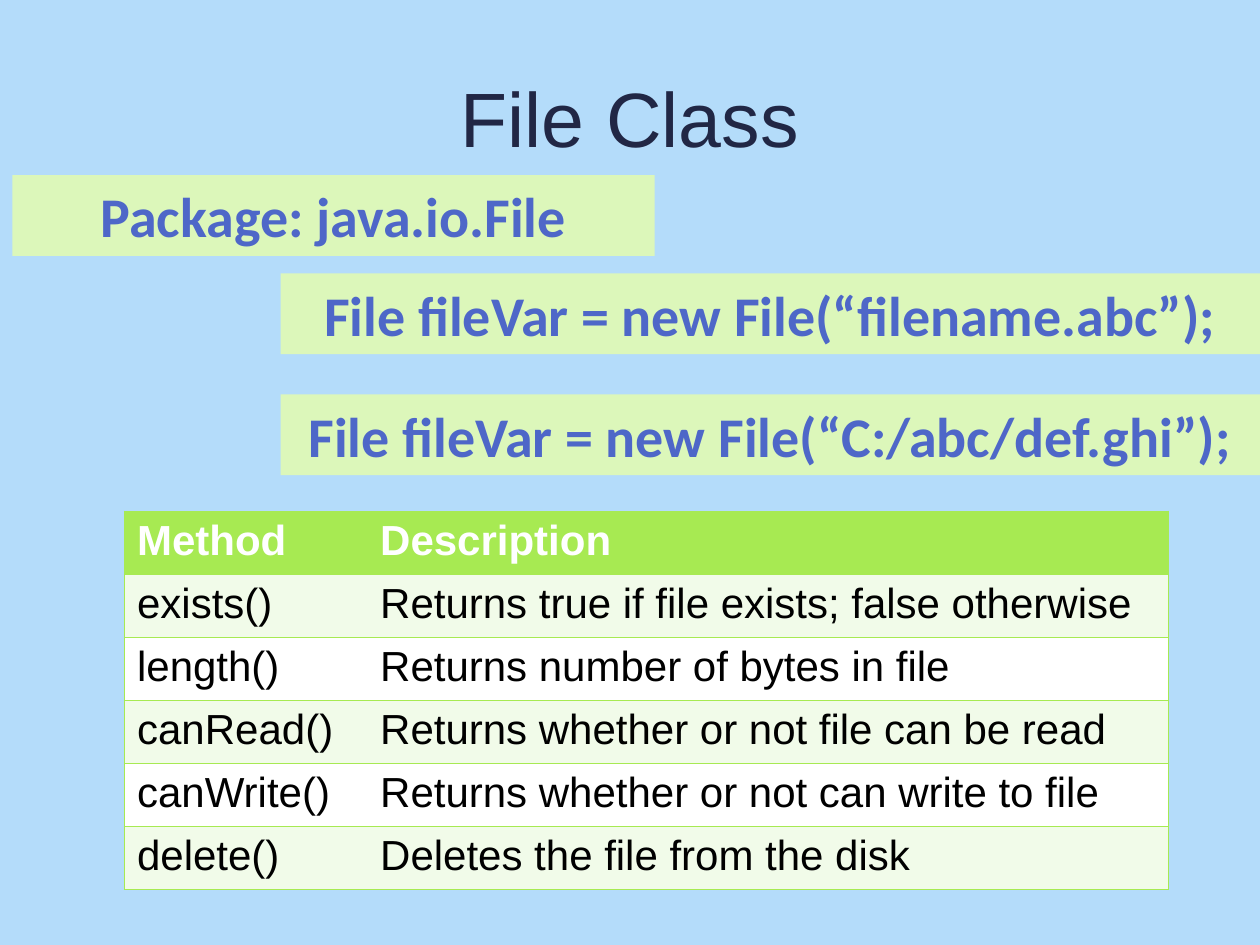
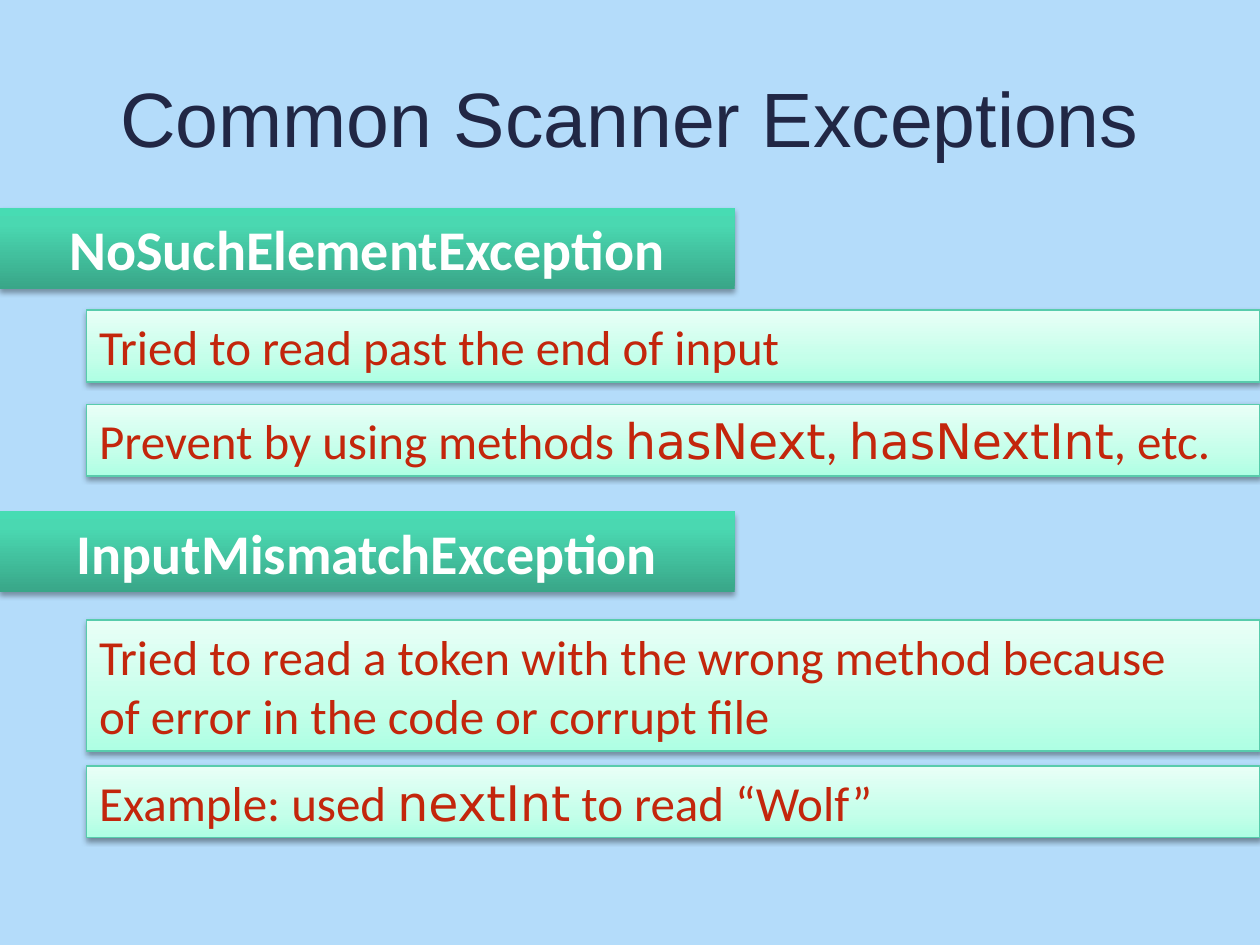
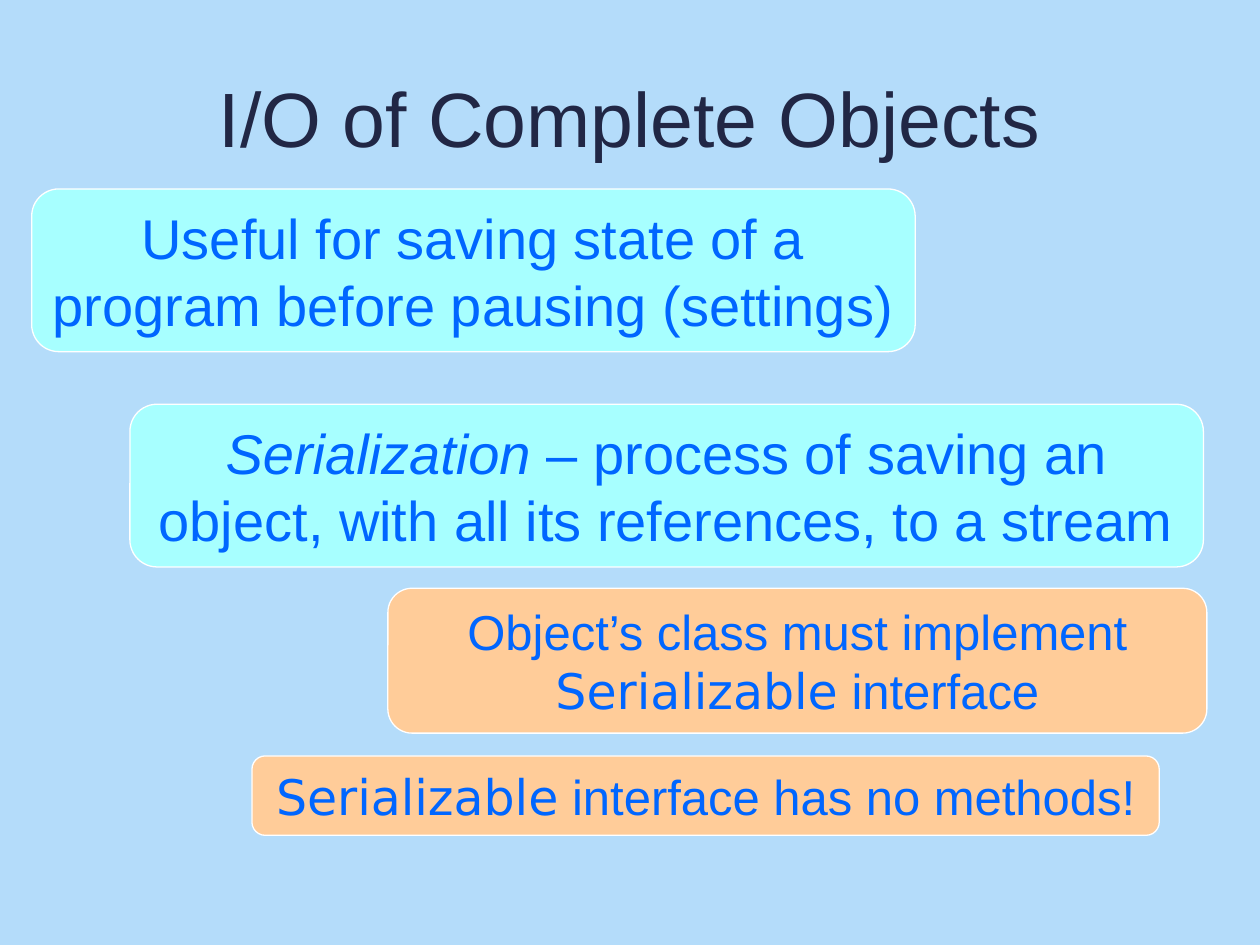
import pptx
import pptx.dml.color
import pptx.enum.shapes
import pptx.enum.text
import pptx.oxml
import pptx.oxml.ns
import pptx.util
from lxml import etree

Cm = pptx.util.Cm
Pt = pptx.util.Pt
qn = pptx.oxml.ns.qn
ALIGN = pptx.enum.text.PP_ALIGN
SHAPES = pptx.enum.shapes.MSO_SHAPE

COLORS = {
    "background": "B4DCFA", "title": "212745",
    "lime": "DCF7BA", "indigo": "4E67C8",
    "green": "A7EA52", "pale green": "F1FBE9",
    "white": "FFFFFF", "black": "000000",
    "red": "C3260C", "teal line": "58CCAC",
    "aqua": "A7FFFF", "peach": "FFCC99", "blue": "0066FF",
}
TEAL_GRADIENT = [(0, "39A688"), (80, "4AD8B1"), (100, "47DCB3")]
MINT_GRADIENT = [(0, "AEFFE3"), (35, "C5FFEA"), (100, "E9FFF7")]
CODE = {"font": "DejaVu Sans"}

# Each style holds the look of the box and the format of its text.
STYLES = {
    "statement": (
        {"fill": "lime"},
        {"size": 32, "font": "Calibri", "color": "indigo", "bold": True}),
    "exception": (
        {"gradient": TEAL_GRADIENT, "shadow": (35, 1.8)},
        {"size": 32, "font": "Calibri", "color": "white", "bold": True}),
    "detail": (
        {"gradient": MINT_GRADIENT, "line": "teal line", "shadow": (38, 1.6)},
        {"size": 28, "font": "Calibri", "color": "red", "align": ALIGN.LEFT}),
    "idea": (
        {"fill": "aqua", "line": "white", "preset": SHAPES.ROUNDED_RECTANGLE},
        {"size": 32, "color": "blue"}),
    "rule": (
        {"fill": "peach", "line": "white", "preset": SHAPES.ROUNDED_RECTANGLE},
        {"size": 28, "color": "blue"}),
}

# Boxes: style, (left, top, width, height) in cm, text or list of runs.
SLIDES = [
    ("File Class", [
        ("statement", (0.25, 3.53, 12.95, 1.63), "Package: java.io.File"),
        ("statement", (5.66, 5.51, 19.74, 1.63),
         "File fileVar = new File(“filename.abc”);"),
        ("statement", (5.66, 7.95, 19.74, 1.63),
         "File fileVar = new File(“C:/abc/def.ghi”);"),
    ]),
    ("Common Scanner Exceptions", [
        ("exception", (0, 4.19, 14.81, 1.63), "NoSuchElementException"),
        ("detail", (1.75, 6.25, 23.65, 1.45),
         "Tried to read past the end of input"),
        ("detail", (1.75, 8.15, 23.65, 1.45),
         ["Prevent by using methods ", ("hasNext", CODE), ", ",
          ("hasNextInt", CODE), ", etc."]),
        ("exception", (0, 10.31, 14.81, 1.63), "InputMismatchException"),
        ("detail", (1.75, 12.5, 23.65, 2.64),
         "Tried to read a token with the wrong method because \n"
         "of error in the code or corrupt file"),
        ("detail", (1.75, 15.44, 23.65, 1.45),
         ["Example: used ", ("nextInt", CODE), " to read “Wolf”"]),
    ]),
    ("I/O of Complete Objects", [
        ("idea", (0.64, 3.81, 17.81, 3.28),
         "Useful for saving state of a program before pausing (settings)"),
        ("idea", (2.62, 8.15, 21.64, 3.28),
         [("Serialization", {"italic": True}),
          " – process of saving an object, with all its references, to a stream"]),
        ("rule", (7.82, 11.86, 16.51, 2.92),
         ["Object’s class must implement ", ("Serializable", CODE),
          " interface"]),
        ("rule", (5.08, 15.24, 18.29, 1.6),
         [("Serializable", CODE), " interface has no methods!"]),
    ]),
]

FILE_METHODS = [
    ("Method", "Description"),
    ("exists()", "Returns true if file exists; false otherwise"),
    ("length()", "Returns number of bytes in file"),
    ("canRead()", "Returns whether or not file can be read"),
    ("canWrite()", "Returns whether or not can write to file"),
    ("delete()", "Deletes the file from the disk"),
]
TABLE_CORNER = (2.51, 10.31)
COLUMN_WIDTHS = (4.9, 16.15)
ROW_HEIGHT = 1.27


def rgb(name):
    return pptx.dml.color.RGBColor.from_string(COLORS[name])


def place(shape, box):
    shape.left, shape.top, shape.width, shape.height = map(Cm, box)


def write_text(frame, content, align=ALIGN.CENTER, **text_format):
    """Fill a frame with text or runs; a run may override the format."""
    paragraph = frame.paragraphs[0]
    paragraph.alignment = align
    runs = [content] if isinstance(content, str) else content
    for item in runs:
        text, changes = (item, {}) if isinstance(item, str) else item
        look = {"font": "Arial", "bold": False, "italic": False,
                **text_format, **changes}
        for index, line in enumerate(text.split("\n")):
            if index:
                paragraph.add_line_break()
            run = paragraph.add_run()
            run.text = line
            run.font.name = look["font"]
            run.font.size = Pt(look["size"])
            run.font.bold = look["bold"]
            run.font.italic = look["italic"]
            run.font.color.rgb = rgb(look["color"])


def add_child(parent, tag, **attributes):
    values = {key: str(value) for key, value in attributes.items()}
    return etree.SubElement(parent, qn(tag), values)


def fill_gradient(shape, stops):
    """Fill from bottom to top with (percent, hex) stops."""
    shape.fill.gradient()
    shape.fill.gradient_angle = 90
    stop_list = shape._element.spPr.find(qn("a:gradFill")).find(qn("a:gsLst"))
    for stop in list(stop_list):
        stop_list.remove(stop)
    for percent, color in stops:
        stop = add_child(stop_list, "a:gs", pos=percent * 1000)
        add_child(stop, "a:srgbClr", val=color)


def drop_shadow(shape, opacity, distance):
    effects = shape._element.spPr.find(qn("a:effectLst"))
    shadow = add_child(effects, "a:outerShdw", blurRad=Pt(3.1),
                       dist=Pt(distance), dir=90 * 60000, rotWithShape=0)
    color = add_child(shadow, "a:srgbClr", val=COLORS["black"])
    add_child(color, "a:alpha", val=opacity * 1000)


def add_box(slide, style, box, content):
    look, text_format = STYLES[style]
    preset = look.get("preset", SHAPES.RECTANGLE)
    shape = slide.shapes.add_shape(preset, *map(Cm, box))
    shape.shadow.inherit = False
    if "gradient" in look:
        fill_gradient(shape, look["gradient"])
    else:
        shape.fill.solid()
        shape.fill.fore_color.rgb = rgb(look["fill"])
    if "line" in look:
        shape.line.color.rgb = rgb(look["line"])
        shape.line.width = Pt(0.75)
    else:
        shape.line.fill.background()
    if "shadow" in look:
        drop_shadow(shape, *look["shadow"])
    frame = shape.text_frame
    frame.word_wrap = True
    frame.vertical_anchor = pptx.enum.text.MSO_ANCHOR.MIDDLE
    frame.auto_size = pptx.enum.text.MSO_AUTO_SIZE.SHAPE_TO_FIT_TEXT
    write_text(frame, content, **text_format)


def set_borders(cell, hidden_side):
    """Draw green borders on all sides but the one between the columns."""
    properties = cell._tc.get_or_add_tcPr()
    for position, side in enumerate(("a:lnL", "a:lnR", "a:lnT", "a:lnB")):
        line = pptx.oxml.ns.qn(side)
        border = etree.Element(line, {"w": str(Pt(1))})
        if side == hidden_side:
            add_child(border, "a:noFill")
        else:
            fill = add_child(border, "a:solidFill")
            add_child(fill, "a:srgbClr", val=COLORS["green"])
        properties.insert(position, border)


def add_method_table(slide):
    size = (sum(COLUMN_WIDTHS), ROW_HEIGHT * len(FILE_METHODS))
    table = slide.shapes.add_table(
        len(FILE_METHODS), len(COLUMN_WIDTHS),
        *map(Cm, TABLE_CORNER + size)).table
    for column, width in zip(table.columns, COLUMN_WIDTHS):
        column.width = Cm(width)
    for row_index, row in enumerate(FILE_METHODS):
        header = row_index == 0
        band = "pale green" if row_index % 2 else "white"
        for column_index, text in enumerate(row):
            cell = table.cell(row_index, column_index)
            cell.fill.solid()
            cell.fill.fore_color.rgb = rgb("green" if header else band)
            set_borders(cell, "a:lnL" if column_index else "a:lnR")
            write_text(cell.text_frame, text, align=ALIGN.LEFT, size=24,
                       bold=header, color="white" if header else "black")


def add_titled_slide(presentation, title):
    slide = presentation.slides.add_slide(presentation.slide_layouts[5])
    place(slide.shapes.title, (1.27, 0.76, 22.86, 3.18))
    frame = slide.shapes.title.text_frame
    frame.vertical_anchor = pptx.enum.text.MSO_ANCHOR.MIDDLE
    write_text(frame, title, size=44, color="title")
    return slide


def main():
    presentation = pptx.Presentation()
    presentation.slide_width, presentation.slide_height = Cm(25.4), Cm(19.05)
    background = presentation.slide_master.background.fill
    background.solid()
    background.fore_color.rgb = rgb("background")
    for title, boxes in SLIDES:
        slide = add_titled_slide(presentation, title)
        for box in boxes:
            add_box(slide, *box)
    add_method_table(presentation.slides[0])
    presentation.save("out.pptx")


if __name__ == "__main__":
    main()
